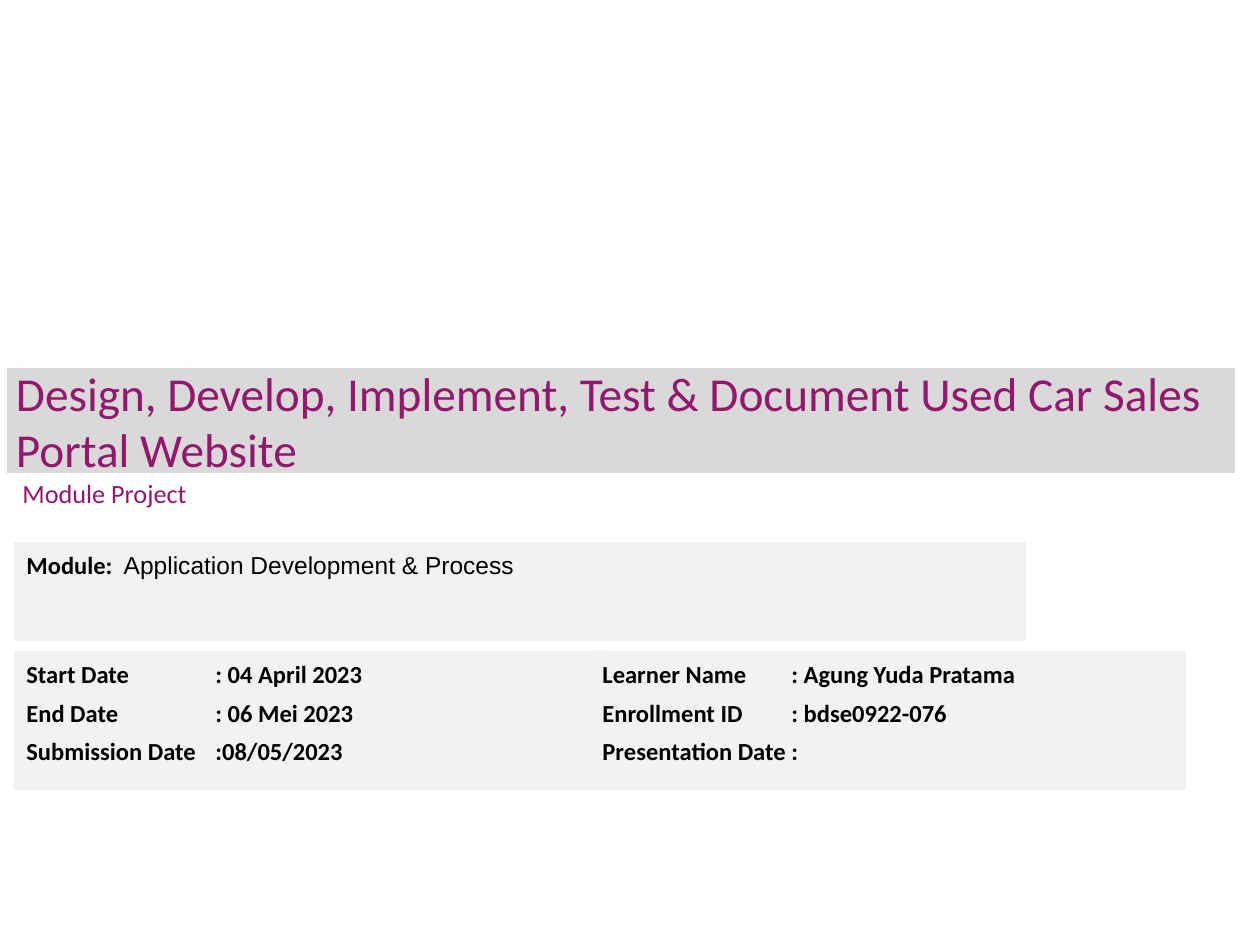
from lxml.etree import SubElement
from pptx import Presentation
from pptx.dml.color import RGBColor
from pptx.enum.shapes import MSO_SHAPE as Shape
from pptx.enum.text import MSO_ANCHOR as Anchor, PP_ALIGN as Align
from pptx.oxml.ns import qn
from pptx.util import Pt

PX = 914400 / 126
COLORS = {"band": "D9D9D9", "panel": "F2F2F2", "accent": "93176C", "ink": "000000"}
LABEL = {"name": "Calibri", "size": Pt(14), "bold": True}
VALUE = {"name": "Arial", "size": Pt(14), "bold": False}
LINE = {"line_spacing": Pt(18), "space_after": Pt(2), "alignment": Align.LEFT}
TAB_STOP = 189
LEFT = 14
DETAILS_TOP, DETAILS_WIDTH, DETAILS_HEIGHT = 651, 596, 139


def emu(px):
    return round(px * PX)


def apply(target, values):
    for key, value in values.items():
        setattr(target, key, value)


class CoverSlide:
    def __init__(self, deck):
        self.slide = deck.slides.add_slide(deck.slide_layouts[6])

    def rectangle(self, box, color):
        rect = self.slide.shapes.add_shape(Shape.RECTANGLE, *map(emu, box))
        rect.shadow.inherit = False
        rect.fill.solid()
        rect.fill.fore_color.rgb = RGBColor.from_string(COLORS[color])
        rect.line.fill.background()
        return rect.text_frame

    def runs(self, paragraph, parts, color):
        for text, style in parts:
            run = paragraph.add_run()
            run.text = text
            apply(run.font, style)
            run.font.color.rgb = RGBColor.from_string(COLORS[color])

    def heading(self, frame, text, size):
        apply(frame, {"word_wrap": True, "vertical_anchor": Anchor.MIDDLE})
        frame.paragraphs[0].alignment = Align.LEFT
        self.runs(frame.paragraphs[0], [(text, {"name": "Calibri", "size": Pt(size)})], "accent")

    def title(self, box, text):
        frame = self.rectangle(box, "band")
        apply(frame, {"margin_left": emu(9), "margin_right": emu(9),
                      "margin_top": emu(5), "margin_bottom": emu(5)})
        self.heading(frame, text, 27)

    def subtitle(self, box, text):
        self.heading(self.slide.shapes.add_textbox(*map(emu, box)).text_frame, text, 15)

    def panel(self, box, lines):
        """Grey panel; each line is a list of (text, font style) parts."""
        frame = self.rectangle(box, "panel")
        apply(frame, {"word_wrap": True, "vertical_anchor": Anchor.TOP})
        for index, parts in enumerate(lines):
            paragraph = frame.add_paragraph() if index else frame.paragraphs[0]
            apply(paragraph, LINE)
            if index:
                paragraph.space_before = Pt(2)
            tabs = SubElement(paragraph._p.get_or_add_pPr(), qn("a:tabLst"))
            SubElement(tabs, qn("a:tab"), pos=str(emu(TAB_STOP)), algn="l")
            self.runs(paragraph, parts, "ink")

    def details(self, left, fields):
        self.panel((left, DETAILS_TOP, DETAILS_WIDTH, DETAILS_HEIGHT),
                   [[(f"{label}\t{value}", LABEL)] for label, value in fields])


def main():
    deck = Presentation()
    deck.slide_width, deck.slide_height = emu(1260), emu(945)
    cover = CoverSlide(deck)
    cover.title((7, 368, 1228, 105),
                "Design, Develop, Implement, Test & Document Used Car Sales Portal Website")
    cover.subtitle((10, 454, 809, 78), "Module Project")
    cover.details(LEFT, [
        ("Start Date", ": 04 April 2023"),
        ("End Date", ": 06 Mei 2023"),
        ("Submission Date", ":08/05/2023"),
    ])
    cover.panel((LEFT, 542, 1012, 99),
                [[("Module:  ", LABEL), ("Application Development & Process", VALUE)]])
    cover.details(590, [
        ("Learner Name", ": Agung Yuda Pratama"),
        ("Enrollment ID", ": bdse0922-076"),
        ("Presentation Date", ":"),
    ])
    deck.save("out.pptx")


if __name__ == "__main__":
    main()
